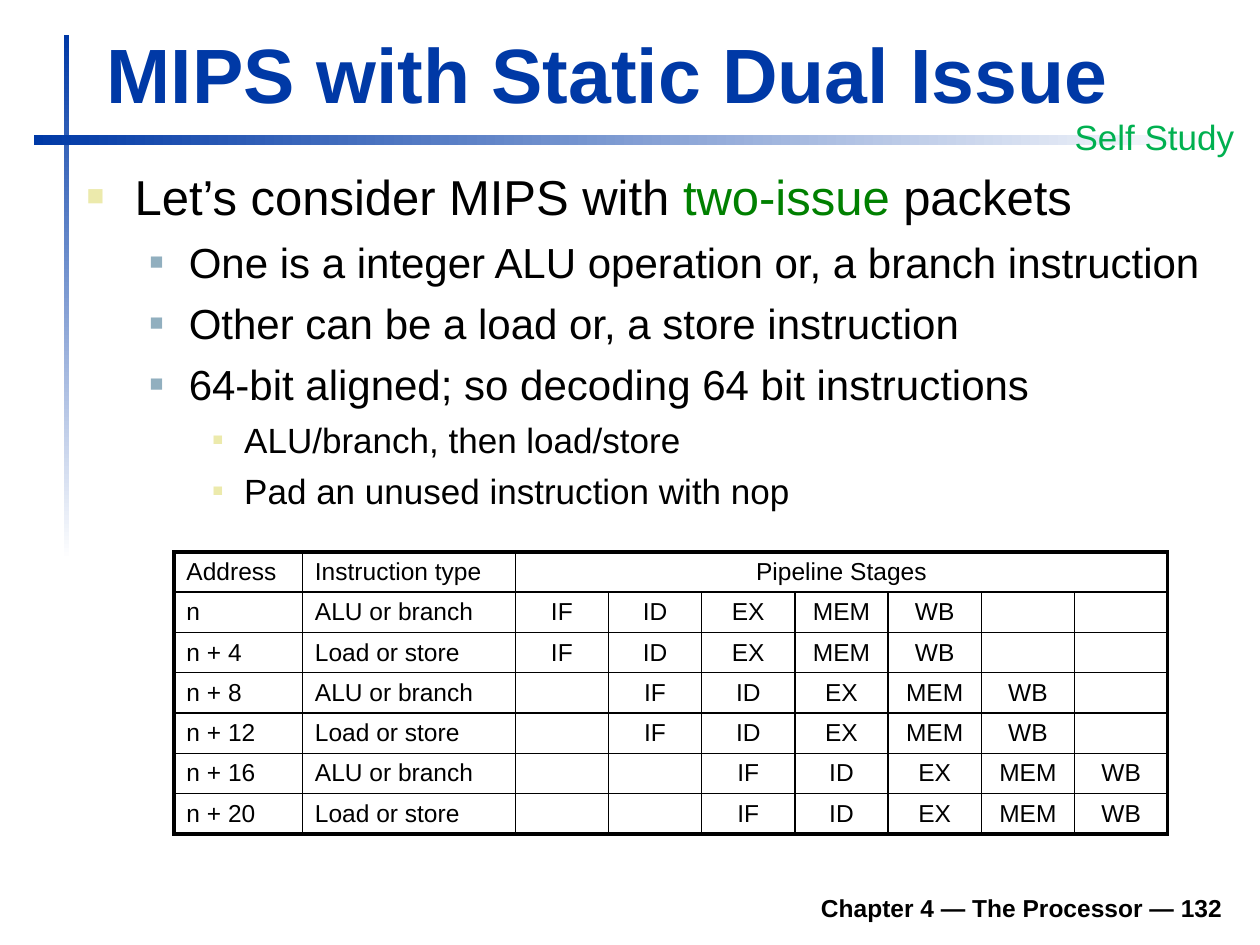
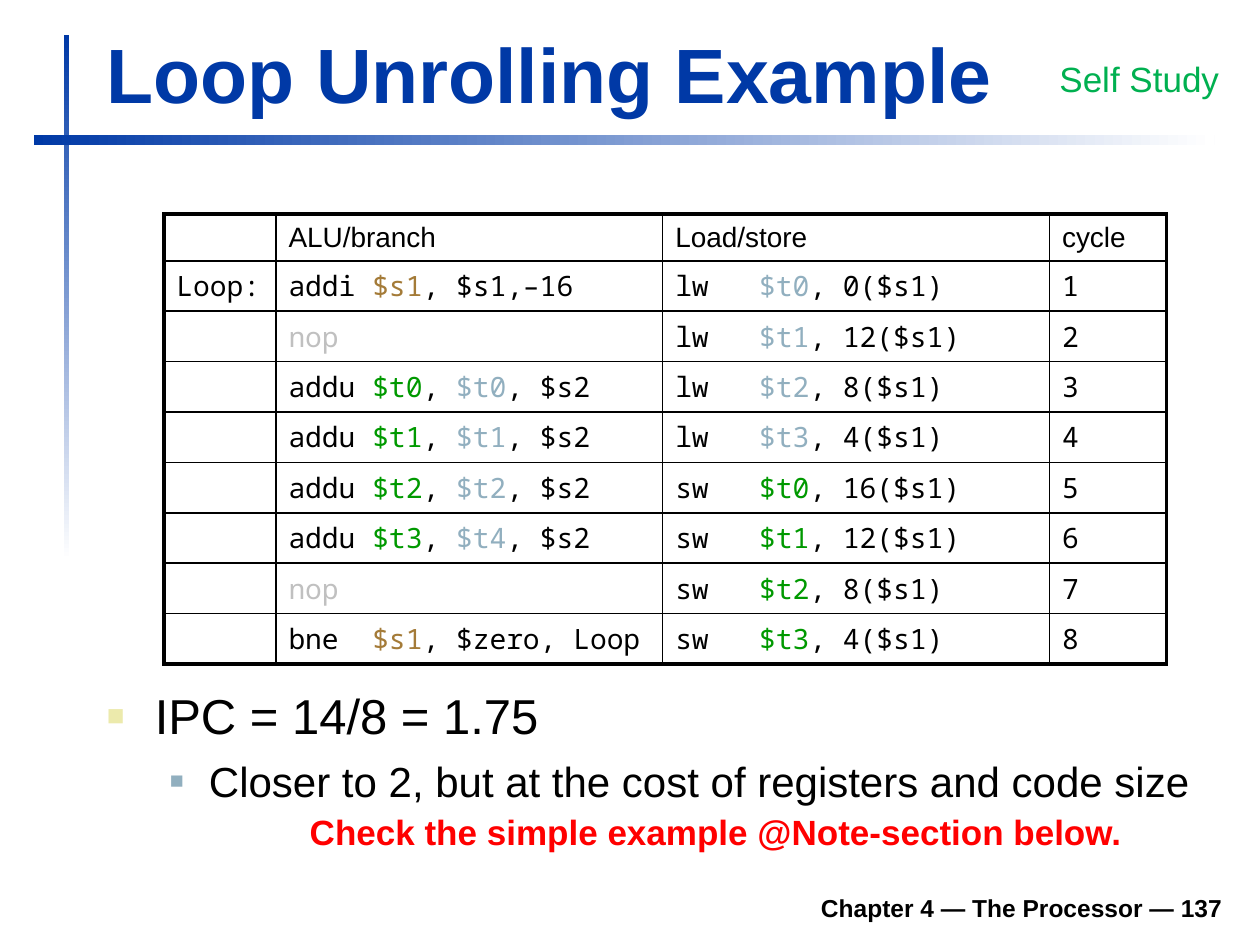
from dataclasses import dataclass

import pptx
import pptx.dml.color
import pptx.enum.shapes
import pptx.enum.text
import pptx.oxml
import pptx.oxml.ns
import pptx.util
from lxml import etree

Inches, Pt = pptx.util.Inches, pptx.util.Pt
ALIGN, ANCHOR = pptx.enum.text.PP_ALIGN, pptx.enum.text.MSO_ANCHOR


@dataclass(frozen=True)
class Theme:
    sans: str = "Arial"
    mono: str = "Noto Sans Mono"
    brand: str = "0039A6"
    paper: str = "FFFFFF"
    ink: str = "000000"
    emphasis: str = "008000"
    self_study: str = "00B050"
    alert: str = "FF0000"
    pointer: str = "A47B38"
    loaded: str = "91AFBF"
    computed: str = "009900"
    idle: str = "C0C0C0"
    title_size: int = 44
    tag_size: int = 20
    footer_size: int = 14
    stage_size: int = 14
    code_size: int = 16
    thin: float = 1
    header_rule: float = 1.5
    frame: float = 2.25
    space_ratio: float = 0.26


@dataclass(frozen=True)
class Level:
    size: int
    margin: float
    hang: float
    bullet_color: str
    bullet_percent: int


THEME = Theme()
LEVELS = [
    Level(28, 0.38, 0.38, "ECEAAC", 60),
    Level(24, 0.81, 0.31, "91AFBF", 55),
    Level(20, 1.25, 0.25, "ECEAAC", 50),
]


def rgb(color):
    return pptx.dml.color.RGBColor.from_string(color)


def sub(parent, tag, **attributes):
    return etree.SubElement(parent, pptx.oxml.ns.qn(tag), **attributes)


# Text
def write(paragraph, content, size, color=THEME.ink, bold=False, font=THEME.sans):
    """Fill a paragraph from a string, or from a list of strings and (text, color) pairs."""
    paragraph.font.name = font
    paragraph.font.size = Pt(size)
    paragraph.font.bold = bold
    paragraph.font.color.rgb = rgb(color)
    for piece in [content] if isinstance(content, str) else content:
        text, accent = (piece, None) if isinstance(piece, str) else piece
        run = paragraph.add_run()
        run.text = text
        if accent:
            run.font.color.rgb = rgb(accent)


def add_frame(slide, left, top, width, height, anchor=ANCHOR.TOP, wrap=True):
    box = slide.shapes.add_textbox(Inches(left), Inches(top), Inches(width), Inches(height))
    frame = box.text_frame
    frame.word_wrap = wrap
    frame.vertical_anchor = anchor
    return frame


def add_outline(slide, left, top, width, height, items):
    """Bulleted text from (level, content) pairs."""
    frame = add_frame(slide, left, top, width, height)
    frame.margin_top = Inches(0.09)
    for index, (depth, content) in enumerate(items):
        level = LEVELS[depth]
        paragraph = frame.add_paragraph() if index else frame.paragraphs[0]
        paragraph.level = depth
        properties = paragraph._p.get_or_add_pPr()
        properties.set("marL", str(Inches(level.margin)))
        properties.set("indent", str(-Inches(level.hang)))
        sub(sub(properties, "a:buClr"), "a:srgbClr", val=level.bullet_color)
        sub(properties, "a:buSzPct", val=str(level.bullet_percent * 1000))
        sub(properties, "a:buFont", typeface=THEME.sans)
        sub(properties, "a:buChar", char="■")
        if index:
            paragraph.space_before = Pt(level.size * THEME.space_ratio)
        write(paragraph, content, level.size)


def add_self_study(slide, left, top):
    tag = add_frame(slide, left, top, 1.57, 0.44)
    write(tag.paragraphs[0], "Self Study", THEME.tag_size, THEME.self_study)


# Shared slide parts
def add_fading_bar(slide, left, top, width, height, angle):
    bar = slide.shapes.add_shape(
        pptx.enum.shapes.MSO_SHAPE.RECTANGLE,
        Inches(left), Inches(top), Inches(width), Inches(height))
    bar.shadow.inherit = False
    bar.line.fill.background()
    bar.fill.gradient()
    bar.fill.gradient_angle = angle
    for stop, color in zip(bar.fill.gradient_stops, (THEME.brand, THEME.paper)):
        stop.color.rgb = rgb(color)


def add_lecture_slide(deck, title, number):
    slide = deck.slides.add_slide(deck.slide_layouts[6])
    add_fading_bar(slide, 0.51, 0.28, 0.04, 4.17, 270)
    add_fading_bar(slide, 0.27, 1.07, 9.37, 0.08, 0)
    footer = add_frame(slide, 1.85, 6.98, 7.95, 0.39, ANCHOR.BOTTOM).paragraphs[0]
    footer.alignment = ALIGN.RIGHT
    write(footer, f"Chapter 4 — The Processor — {number}", THEME.footer_size, bold=True)
    heading = add_frame(slide, 0.75, 0.16, 9.03, 0.83, ANCHOR.BOTTOM)
    write(heading.paragraphs[0], title, THEME.title_size, THEME.brand, bold=True)
    return slide


# Tables
def set_borders(cell, **widths):
    properties = cell._tc.get_or_add_tcPr()
    for side, width in widths.items():
        line = sub(properties, f"a:ln{side}", w=str(Pt(width)))
        sub(sub(line, "a:solidFill"), "a:srgbClr", val=THEME.ink)


def add_ruled_table(slide, left, top, column_widths, row_heights):
    """Empty table that drops the banded style."""
    table = slide.shapes.add_table(
        len(row_heights), len(column_widths), Inches(left), Inches(top),
        Inches(sum(column_widths)), Inches(sum(row_heights))).table
    table.first_row = table.horz_banding = False
    for column, width in zip(table.columns, column_widths):
        column.width = Inches(width)
    for row, height in zip(table.rows, row_heights):
        row.height = Inches(height)
    return table


def fill_table(table, rows, size, body_font=THEME.sans, centred_from=None):
    last_row, last_column = len(table.rows) - 1, len(table.columns) - 1
    for r, contents in enumerate(rows):
        for c, content in enumerate(contents):
            cell = table.cell(r, c)
            span_end = c + (cell.span_width if cell.is_merge_origin else 1) - 1
            set_borders(
                cell,
                L=THEME.frame if c == 0 else THEME.thin,
                R=THEME.frame if span_end == last_column else THEME.thin,
                T={0: THEME.frame, 1: THEME.header_rule}.get(r, THEME.thin),
                B={0: THEME.header_rule, last_row: THEME.frame}.get(r, THEME.thin))
            cell.fill.background()
            cell.vertical_anchor = ANCHOR.MIDDLE
            cell.margin_top = cell.margin_bottom = Inches(0.04)
            paragraph = cell.text_frame.paragraphs[0]
            if centred_from is not None and c >= centred_from:
                paragraph.alignment = ALIGN.CENTER
            if content:
                write(paragraph, content, size, font=body_font if r else THEME.sans)
            else:
                paragraph._p.get_or_add_endParaRPr().set("sz", str(size * 100))


# Instructions of the unrolled loop
def lw(register, offset):
    return ["lw   ", (register, THEME.loaded), f", {offset}($s1)"]


def sw(register, offset):
    return ["sw   ", (register, THEME.computed), f", {offset}($s1)"]


def addu(target, source):
    return ["addu ", (target, THEME.computed), ", ", (source, THEME.loaded), ", $s2"]


def build_dual_issue(deck):
    slide = add_lecture_slide(deck, "MIPS with Static Dual Issue", 132)
    add_outline(slide, 0.59, 1.23, 9.2, 3.02, [
        (0, ["Let’s consider MIPS with ", ("two-issue", THEME.emphasis), " packets"]),
        (1, "One is a integer ALU operation or, a branch instruction"),
        (1, "Other can be a load or, a store instruction"),
        (1, "64-bit aligned; so decoding 64 bit instructions"),
        (2, "ALU/branch, then load/store"),
        (2, "Pad an unused instruction with nop"),
    ])

    # Each pair of instructions enters the pipeline one stage later
    stages = ["IF", "ID", "EX", "MEM", "WB"]
    cycles = 7
    rows = [["Address", "Instruction type", "Pipeline Stages"] + [""] * (cycles - 1)]
    for index in range(6):
        delay = index // 2
        address = f"n + {4 * index}" if index else "n"
        kind = "Load or store" if index % 2 else "ALU or branch"
        idle_after = cycles - len(stages) - delay
        rows.append([address, kind] + [""] * delay + stages + [""] * idle_after)
    pipeline = add_ruled_table(
        slide, 1.38, 4.38, [1.02, 1.69] + [0.74] * cycles, [0.32] * len(rows))
    pipeline.cell(0, 2).merge(pipeline.cell(0, cycles + 1))
    fill_table(pipeline, rows, THEME.stage_size, centred_from=2)
    add_self_study(slide, 8.43, 0.87)


def build_loop_unrolling(deck):
    slide = add_lecture_slide(deck, "Loop Unrolling Example", 137)
    add_outline(slide, 0.75, 5.35, 9.05, 1.47, [
        (0, "IPC = 14/8 = 1.75"),
        (1, "Closer to 2, but at the cost of registers and code size"),
    ])

    # One issue packet per cycle
    nop = [("nop", THEME.idle)]
    pointer = ("$s1", THEME.pointer)
    packets = [
        (["addi ", pointer, ", $s1,–16"], lw("$t0", 0)),
        (nop, lw("$t1", 12)),
        (addu("$t0", "$t0"), lw("$t2", 8)),
        (addu("$t1", "$t1"), lw("$t3", 4)),
        (addu("$t2", "$t2"), sw("$t0", 16)),
        (addu("$t3", "$t4"), sw("$t1", 12)),
        (nop, sw("$t2", 8)),
        (["bne  ", pointer, ", $zero, Loop"], sw("$t3", 4)),
    ]
    rows = [["", "ALU/branch", "Load/store", "cycle"]]
    for cycle, (alu, memory) in enumerate(packets, start=1):
        rows.append(["Loop:" if cycle == 1 else "", alu, memory, str(cycle)])
    schedule = add_ruled_table(
        slide, 1.3, 1.7, [0.89, 3.07, 3.07, 0.93], [0.37] + [0.4] * len(packets))
    fill_table(schedule, rows, THEME.code_size, body_font=THEME.mono)

    reminder = add_frame(slide, 2.36, 6.38, 6.69, 0.44, wrap=False)
    write(reminder.paragraphs[0], "Check the simple example @Note-section below.",
          THEME.tag_size, THEME.alert, bold=True)
    add_self_study(slide, 8.31, 0.41)


def main():
    deck = pptx.Presentation()
    deck.slide_width, deck.slide_height = Inches(10), Inches(7.5)
    build_dual_issue(deck)
    build_loop_unrolling(deck)
    deck.save("out.pptx")


if __name__ == "__main__":
    main()
